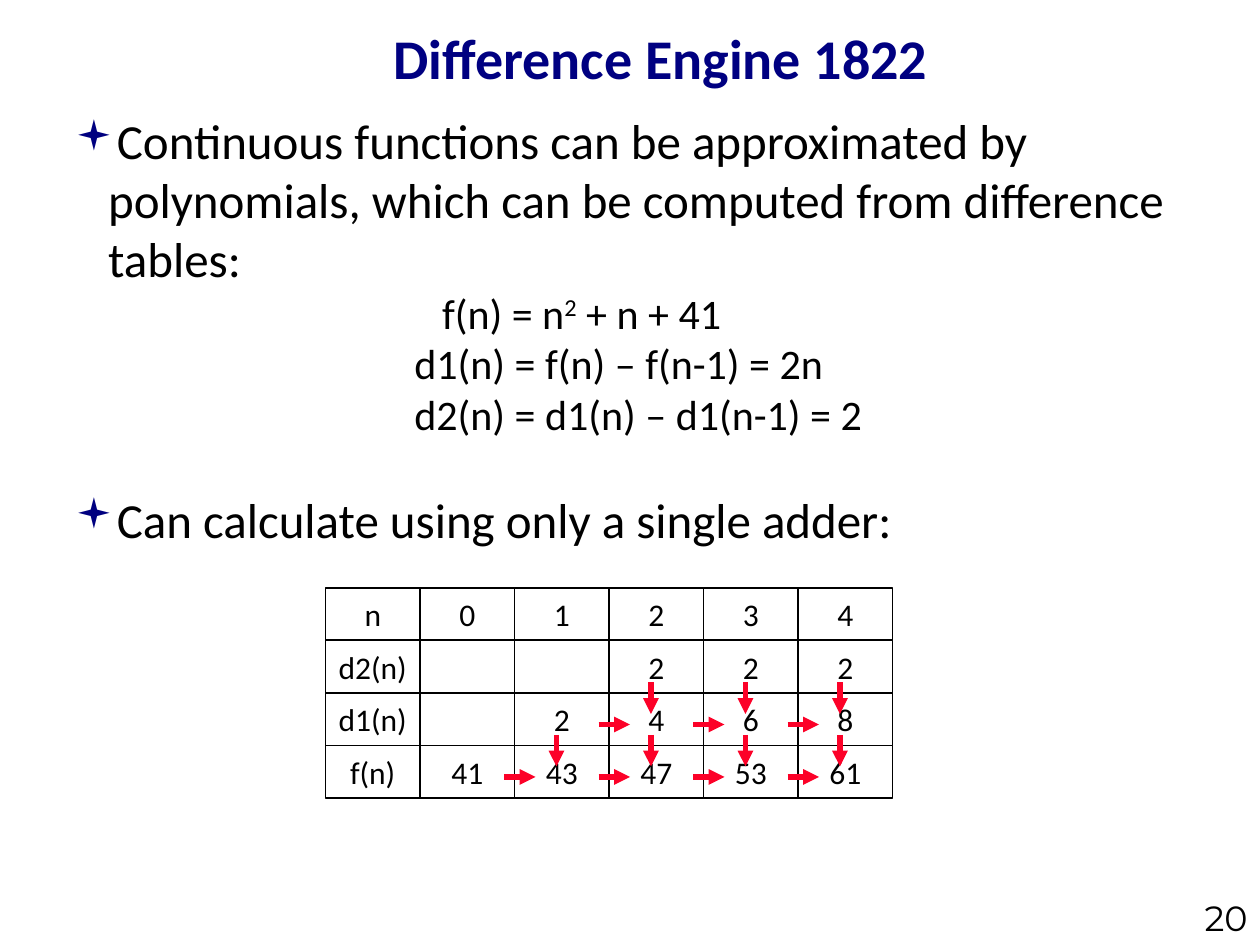
from pptx import Presentation
from pptx.dml.color import RGBColor
from pptx.enum.shapes import MSO_CONNECTOR, MSO_SHAPE
from pptx.enum.text import MSO_ANCHOR, PP_ALIGN
from pptx.oxml.ns import qn
from pptx.util import Inches, Pt
from lxml.etree import SubElement

HEX = {"title": "000081", "bullet": "000080", "ink": "000000",
       "arrow": "FC0128", "paper": "FFFFFF"}
FACE = "Calibri"

# Content: body rows are (style, left margin, [(text, is superscript)])
TITLE = "Difference Engine 1822"
PAGE = "20"
BODY = [
    ("point", 0.26, [("Continuous functions can be approximated by polynomials, "
                      "which can be computed from difference tables:", False)]),
    ("formula", 2.91, [("f(n) = n", False), ("2", True), (" + n + 41", False)]),
    ("formula", 2.69, [("d1(n) = f(n) – f(n-1) = 2n", False)]),
    ("formula", 2.69, [("d2(n) = d1(n) – d1(n-1) = 2", False)]),
    ("point", 0.25, [("Can calculate using only a single adder:", False)]),
]
GRID = [
    ["n", "0", "1", "2", "3", "4"],
    ["d2(n)", "", "", "2", "2", "2"],
    ["d1(n)", "", "2", "4", "6", "8"],
    ["f(n)", "41", "43", "47", "53", "61"],
]
SUMS = {2: 3, 3: 2}  # row: first column reached by an addition

# Formats
HEAD = {"name": FACE, "size": Pt(32), "bold": True}
FONTS = {"point": {"name": FACE, "size": Pt(28)},
         "formula": {"name": FACE, "size": Pt(24)}}
CELL = {"name": FACE, "size": Pt(18)}
FOOT = {"name": "Montserrat", "size": Pt(20)}

# Grid geometry, in twelfths of an inch
UNIT = Inches(1) // 12
LEFT, TOP, WIDE, HIGH = 31, 56, 9, 5


def color(key):
    return RGBColor.from_string(HEX[key])


def style(font, form, key="ink"):
    for name, value in form.items():
        setattr(font, name, value)
    font.color.rgb = color(key)


def add_box(slide, at, anchor):
    frame = slide.shapes.add_textbox(*map(Inches, at)).text_frame
    frame.word_wrap = True
    frame.vertical_anchor = anchor
    return frame


def write(frame, text, align, form, key="ink"):
    para = frame.paragraphs[0]
    para.alignment = align
    run = para.add_run()
    run.text = text
    style(run.font, form, key)


def add_bullet(props):
    tint = SubElement(props, qn("a:buClr"))
    SubElement(tint, qn("a:srgbClr"), val=HEX["bullet"])
    SubElement(props, qn("a:buSzPct"), val="85000")
    SubElement(props, qn("a:buFont"), typeface="Wingdings", charset="2")
    SubElement(props, qn("a:buChar"), char="▪")


def add_body(slide):
    frame = add_box(slide, (0.5, 0.83, 9.09, 3.58), MSO_ANCHOR.TOP)
    for i, (kind, left, parts) in enumerate(BODY):
        para = frame.paragraphs[0] if i == 0 else frame.add_paragraph()
        props = para._p.get_or_add_pPr()
        props.set("marL", str(Inches(left)))
        if kind == "point":
            props.set("indent", str(-Inches(left)))
            para.space_before = Pt(29 if i else 0)
            add_bullet(props)
        for text, high in parts:
            run = para.add_run()
            run.text = text
            style(run.font, FONTS[kind])
            if high:
                run._r.get_or_add_rPr().set("baseline", "30000")


def add_cell(slide, x, y, text):
    spot = [UNIT * n for n in (x, y, WIDE, HIGH)]
    cell = slide.shapes.add_shape(MSO_SHAPE.RECTANGLE, *spot)
    cell.shadow.inherit = False
    cell.fill.solid()
    cell.fill.fore_color.rgb = color("paper")
    cell.line.color.rgb = color("ink")
    cell.line.width = Pt(1)
    frame = cell.text_frame
    frame.vertical_anchor = MSO_ANCHOR.MIDDLE
    frame.margin_left = frame.margin_right = Inches(0.05)
    if text:
        write(frame, text, PP_ALIGN.CENTER, CELL)


def add_arrow(slide, x, y, dx, dy):
    ends = [UNIT * n for n in (x, y, x + dx, y + dy)]
    arrow = slide.shapes.add_connector(MSO_CONNECTOR.STRAIGHT, *ends)
    arrow.line.color.rgb = color("arrow")
    arrow.line.width = Pt(3)
    SubElement(arrow.line._get_or_add_ln(), qn("a:tailEnd"), type="triangle")
    SubElement(arrow._element.spPr, qn("a:effectLst"))


def add_grid(slide):
    for r, row in enumerate(GRID):
        for c, text in enumerate(row):
            x, y = LEFT + c * WIDE, TOP + r * HIGH
            add_cell(slide, x, y, text)
            if r in SUMS and c >= SUMS[r]:
                add_arrow(slide, x + 4, y - 1, 0, 3)
                add_arrow(slide, x - 1, y + 3, 3, 0)


def main():
    deck = Presentation()
    deck.slide_width, deck.slide_height = Inches(10), Inches(7.5)
    slide = deck.slides.add_slide(deck.slide_layouts[6])
    # Title, body and page number
    head = add_box(slide, (1.33, 0.08, 7.83, 0.75), MSO_ANCHOR.MIDDLE)
    write(head, TITLE, PP_ALIGN.CENTER, HEAD, "title")
    add_body(slide)
    foot = add_box(slide, (9.08, 7.24, 0.92, 0.26), MSO_ANCHOR.BOTTOM)
    write(foot, PAGE, PP_ALIGN.RIGHT, FOOT)
    # Difference grid with its additions
    add_grid(slide)
    deck.save("out.pptx")


if __name__ == "__main__":
    main()
